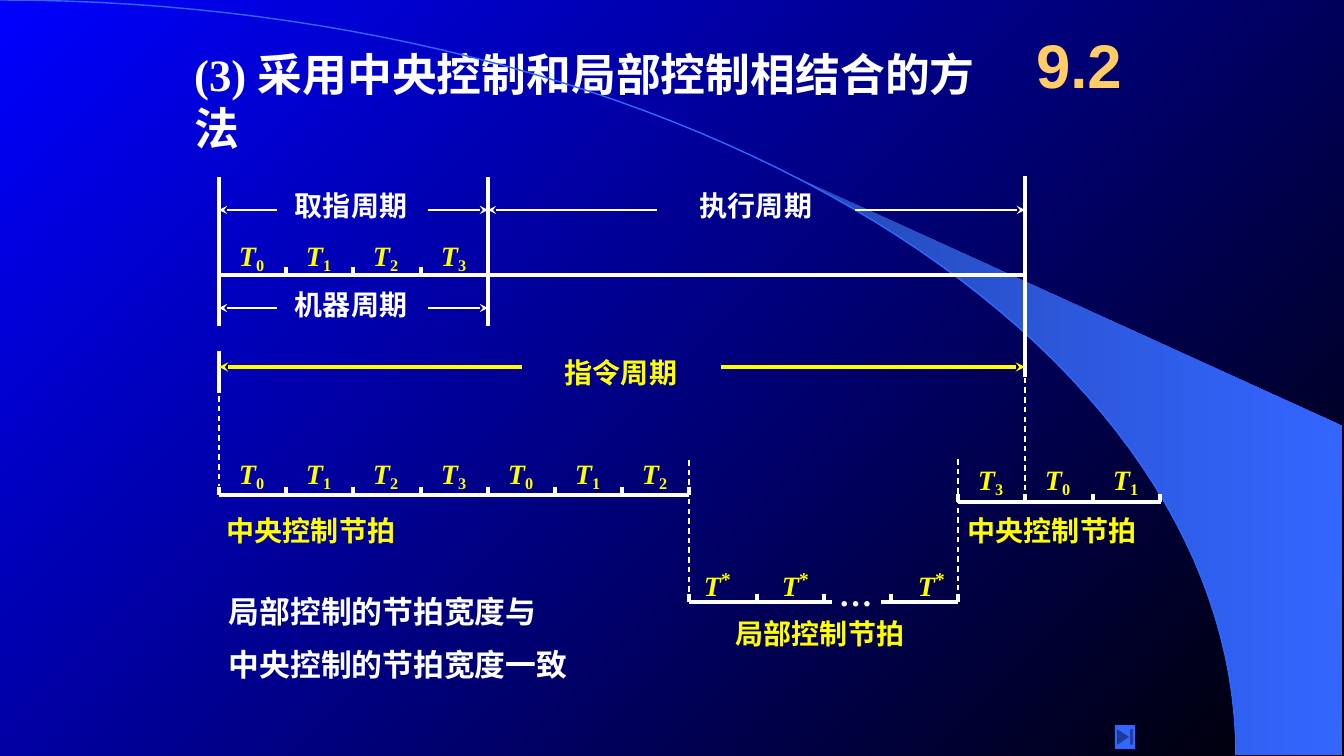
from math import asin, cos, pi, sin

from lxml.etree import SubElement
from pptx import Presentation
from pptx.dml.color import RGBColor
from pptx.enum.dml import MSO_LINE
from pptx.enum.shapes import MSO_CONNECTOR, MSO_SHAPE
from pptx.enum.text import MSO_ANCHOR as Anchor, MSO_AUTO_SIZE as AutoSize, PP_ALIGN as Align
from pptx.oxml.ns import qn
from pptx.util import Pt

PX = 914400 / 100.8
WIDTH, HEIGHT = 1344, 756
WHITE = RGBColor(0xFF, 0xFF, 0xFF)
YELLOW = RGBColor(0xFF, 0xFF, 0x00)
GOLD = RGBColor(0xFF, 0xCC, 0x66)
BLUE = RGBColor(0x00, 0x00, 0xFF)
BLACK = RGBColor(0x00, 0x00, 0x00)
SKY = RGBColor(0x33, 0x66, 0xFF)
DEEP_SKY = RGBColor(0x24, 0x49, 0xB6)
ARC_WIDTH, ARC_HEIGHT = 1236, 755


def emu(px):
    return round(px * PX)


def beat_x(beat):
    """Left edge of a beat; twelve beats fill the instruction cycle."""
    return 219 + round(beat * 67.2)


def arc_points(start, steps):
    """Points of the quarter ellipse from angle start to its lower end."""
    angles = [start + (pi / 2 - start) * step / steps for step in range(steps + 1)]
    return [(emu(ARC_WIDTH * sin(a)), emu(ARC_HEIGHT * (1 - cos(a)))) for a in angles]


def set_gradient(fill, colours, angle):
    fill.gradient()
    fill.gradient_angle = angle
    for stop, colour, position in zip(fill.gradient_stops, colours, (0, 1)):
        stop.color.rgb = colour
        stop.position = position


class TimingSlide:
    font = "Times New Roman"

    def __init__(self, deck):
        self.page = deck.slides.add_slide(deck.slide_layouts[5])
        set_gradient(self.page.background.fill, (BLUE, BLACK), 315)

    def style(self, font, size, colour, name=None):
        font.name = name or self.font
        font.size = Pt(size)
        font.bold = True
        font.color.rgb = colour

    def title(self, words, left, top, width, height):
        box = self.page.shapes.title
        box.left, box.top, box.width, box.height = map(emu, (left, top, width, height))
        frame = box.text_frame
        frame.text = words
        frame.word_wrap = True
        frame.auto_size = AutoSize.NONE
        frame.vertical_anchor = Anchor.TOP
        frame.paragraphs[0].alignment = Align.LEFT
        self.style(frame.paragraphs[0].runs[0].font, 32, WHITE)

    def text(self, lines, left, top, width, height, size=20, colour=WHITE, name=None, wrap=False):
        box = self.page.shapes.add_textbox(*map(emu, (left, top, width, height)))
        frame = box.text_frame
        frame.text = lines
        frame.word_wrap = wrap
        frame.auto_size = AutoSize.NONE if wrap else AutoSize.SHAPE_TO_FIT_TEXT
        for index, para in enumerate(frame.paragraphs):
            if index:
                para.space_before = Pt(size / 2)
            for span in para.runs:
                self.style(span.font, size, colour, name)
        return frame

    def beat_label(self, mark, left, top, size=20, baseline=-15):
        """An italic T with a raised or lowered mark."""
        frame = self.text("T", left, top, 47, 44, colour=YELLOW)
        para = frame.paragraphs[0]
        para.runs[0].font.italic = True
        span = para.add_run()
        span.text = mark
        self.style(span.font, size, YELLOW)
        span._r.get_or_add_rPr().set("baseline", str(baseline * 1000))

    def line(self, x1, y1, x2, y2, colour=WHITE, weight=2.25, dashed=False, arrow=False):
        link = self.page.shapes.add_connector(MSO_CONNECTOR.STRAIGHT, *map(emu, (x1, y1, x2, y2)))
        link.line.color.rgb = colour
        link.line.width = Pt(weight)
        if dashed:
            link.line.dash_style = MSO_LINE.DASH
        if arrow:
            SubElement(link.line._get_or_add_ln(), qn("a:tailEnd"), type="stealth")
        SubElement(link._element.spPr, qn("a:effectLst"))

    def ticks(self, beats, y):
        for beat in beats:
            self.line(beat_x(beat), y - 8, beat_x(beat), y)

    def outline(self, points, close):
        builder = self.page.shapes.build_freeform(*points[0], scale=1.0)
        builder.add_line_segments(points[1:], close=close)
        shape = builder.convert_to_shape()
        shape.shadow.inherit = False
        return shape

    def backdrop(self):
        corners = [(emu(1342), emu(426)), (emu(1342), emu(755))]
        band = self.outline(corners + arc_points(asin(0.641), 40)[::-1], True)
        set_gradient(band.fill, (DEEP_SKY, SKY), 0)
        band.line.fill.background()
        arc = self.outline(arc_points(0, 60), False)
        arc.fill.background()
        arc.line.color.rgb = SKY
        arc.line.width = Pt(1)

    def end_button(self, left, top, width, height):
        button = self.page.shapes.add_shape(
            MSO_SHAPE.ACTION_BUTTON_END, *map(emu, (left, top, width, height)))
        button.shadow.inherit = False
        button.fill.solid()
        button.fill.fore_color.rgb = SKY
        button.line.fill.background()


def main():
    deck = Presentation()
    deck.slide_width, deck.slide_height = emu(WIDTH), emu(HEIGHT)
    slide = TimingSlide(deck)
    slide.backdrop()
    slide.title("(3) 采用中央控制和局部控制相结合的方法", 184, 42, 820, 116)
    section = slide.text("9.2", 1016, 17, 126, 93, 44, GOLD, "Arial", wrap=True)
    section.vertical_anchor = Anchor.MIDDLE
    section.paragraphs[0].alignment = Align.CENTER

    start, fetch_end, local_start, local_end, end = map(beat_x, (0, 4, 7, 11, 12))

    for x, top, bottom in ((local_start, 460, 592), (local_end, 459, 590),
                           (end, 368, 493), (start, 367, 486)):
        slide.line(x, top, x, bottom, weight=1, dashed=True)
    for x, top, bottom in ((start, 177, 326), (fetch_end, 177, 326),
                           (end, 176, 377), (start, 351, 393)):
        slide.line(x, top, x, bottom)

    # Beat rows: axis ends, axis height, ticked beats
    for x1, x2, y, beats in (
        (start, end, 275, range(1, 4)),
        (start, local_start, 495, range(8)),
        (local_end, 1161, 502, range(11, 15)),
        (local_start, 832, 602, range(7, 10)),
        (881, local_end, 602, range(10, 12)),
    ):
        slide.line(x1, y, x2, y)
        slide.ticks(beats, y)
    for beats, top in ((range(4), 234), (range(7), 452), (range(11, 14), 458)):
        for beat in beats:
            slide.beat_label(str(beat % 4), beat_x(beat) + 10, top)
    for left in (694, 772, 908):
        slide.beat_label("*", left, 558, size=24, baseline=30)
    slide.text("…", 829, 568, 80, 50, 24)

    # Cycle spans: both arrows point away from the name
    for name, left, top, y, x1, inner1, inner2, x2, colour, weight in (
        ("取指周期", 285, 184, 210, start, 277, 428, fetch_end, WHITE, 1.5),
        ("执行周期", 690, 184, 210, fetch_end, 657, 855, end, WHITE, 1.5),
        ("机器周期", 285, 283, 308, start, 277, 428, fetch_end, WHITE, 1.5),
        ("指令周期", 555, 351, 367, start, 522, 721, end, YELLOW, 2.25),
    ):
        slide.line(inner1, y, x1, y, colour, weight, arrow=True)
        slide.line(inner2, y, x2, y, colour, weight, arrow=True)
        slide.text(name, left, top, 134, 44, colour=colour)

    for name, left, top in (("中央控制节拍", 217, 509), ("中央控制节拍", 958, 509),
                            ("局部控制节拍", 726, 612)):
        slide.text(name, left, top, 190, 44, colour=YELLOW)
    slide.text("局部控制的节拍宽度与\n中央控制的节拍宽度一致", 219, 588, 496, 103, 22, wrap=True)
    slide.end_button(1115, 725, 20, 24)
    deck.save("out.pptx")


if __name__ == "__main__":
    main()
